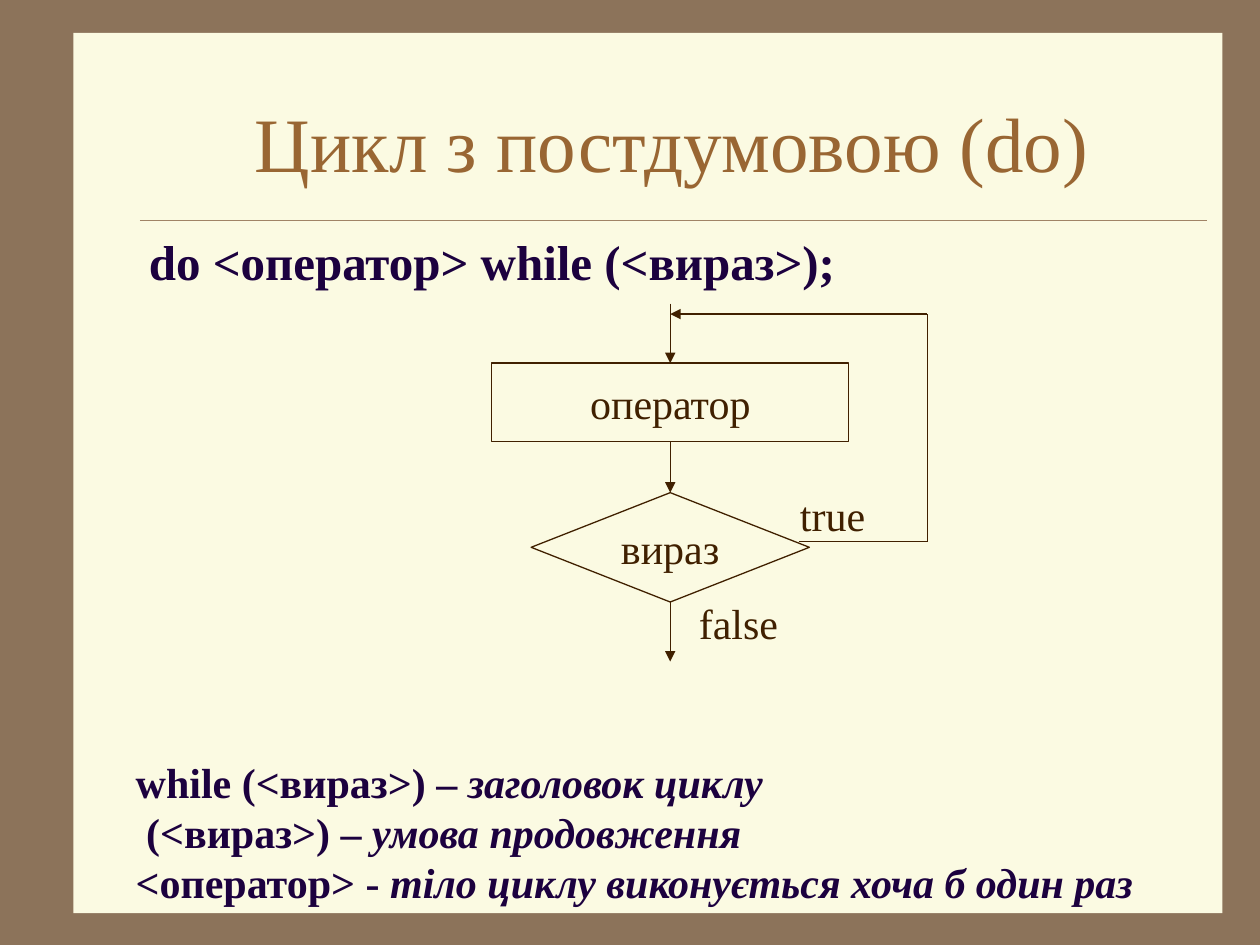
from lxml.etree import SubElement
from pptx import Presentation
from pptx.dml.color import RGBColor
from pptx.enum.shapes import MSO_CONNECTOR, MSO_SHAPE
from pptx.enum.text import MSO_ANCHOR, PP_ALIGN
from pptx.oxml.ns import qn
from pptx.util import Pt

BACKGROUND = RGBColor(0x8C, 0x73, 0x5A)
PANEL = RGBColor(0xFB, 0xFA, 0xE2)
RULE = RGBColor(0xA0, 0x83, 0x66)
TITLE = RGBColor(0x99, 0x66, 0x33)
CODE = RGBColor(0x1C, 0x01, 0x3F)
CHART = RGBColor(0x40, 0x20, 0x00)
FONT = "Times New Roman"


def add_run(p, text, size, color, bold=False, italic=False):
    r = p.add_run()
    r.text = text
    r.font.name = FONT
    r.font.size = Pt(size)
    r.font.color.rgb = color
    r.font.bold = bold
    r.font.italic = italic


def add_line(x1, y1, x2, y2, color=CHART, width=0.75, arrow=False):
    line = s.shapes.add_connector(MSO_CONNECTOR.STRAIGHT, Pt(x1), Pt(y1), Pt(x2), Pt(y2))
    line.line.color.rgb = color
    line.line.width = Pt(width)
    if arrow:
        SubElement(line.line._get_or_add_ln(), qn("a:tailEnd"), type="triangle")
    SubElement(line._element.spPr, qn("a:effectLst"))
    return line


prs = Presentation()
prs.slide_width, prs.slide_height = Pt(720), Pt(540)
s = prs.slides.add_slide(prs.slide_layouts[5])
s.background.fill.solid()
s.background.fill.fore_color.rgb = BACKGROUND

panel = s.shapes.add_shape(MSO_SHAPE.RECTANGLE, Pt(42), Pt(18.75), Pt(656.5), Pt(503))
panel.shadow.inherit = False
panel.fill.solid()
panel.fill.fore_color.rgb = PANEL
panel.line.fill.background()
s.shapes._spTree.insert(2, panel._element)

title = s.shapes.title
title.left, title.top, title.width, title.height = Pt(78), Pt(36), Pt(612), Pt(90)
tf = title.text_frame
tf.vertical_anchor = MSO_ANCHOR.MIDDLE
p = tf.paragraphs[0]
p.alignment = PP_ALIGN.CENTER
add_run(p, "Цикл з постдумовою (do)", 44, TITLE)
add_line(80, 126, 690, 126, RULE, 0.25)

blocks = []
for kind, text, left, top, width, height in [
    (MSO_SHAPE.RECTANGLE, "оператор", 281, 207.5, 204, 45),
    (MSO_SHAPE.DIAMOND, "вираз", 303.5, 281.5, 159, 62.5),
]:
    sp = s.shapes.add_shape(kind, Pt(left), Pt(top), Pt(width), Pt(height))
    sp.shadow.inherit = False
    sp.fill.background()
    sp.line.color.rgb = CHART
    sp.line.width = Pt(0.75)
    tf = sp.text_frame
    tf.word_wrap = False
    tf.vertical_anchor = MSO_ANCHOR.MIDDLE
    p = tf.paragraphs[0]
    p.alignment = PP_ALIGN.CENTER
    add_run(p, text, 24, CHART)
    blocks.append(sp)
operator, condition = blocks

entry = add_line(383, 173.5, 383, 207.5, arrow=True)
entry.end_connect(operator, 0)
step = add_line(383, 252.5, 383, 281.5, arrow=True)
step.begin_connect(operator, 2)
step.end_connect(condition, 0)
leave = add_line(383, 344, 383, 378, arrow=True)
leave.begin_connect(condition, 2)
add_line(456.5, 309.5, 530, 309.5)
add_line(530, 309.5, 530, 179.5)
add_line(530, 179.5, 383, 179.5, arrow=True)

LEFT, CENTER = PP_ALIGN.LEFT, PP_ALIGN.CENTER
for left, top, width, height, size, color, bold, align, lines in [
    (78, 128.5, 612, 44, 28, CODE, True, LEFT, [("do <оператор> while (<вираз>);", "")]),
    (439, 276, 73.5, 36, 24, CHART, False, CENTER, [("true", "")]),
    (382.5, 338, 79, 36, 24, CHART, False, CENTER, [("false", "")]),
    (70.5, 428.5, 623.5, 93.5, 24, CODE, True, LEFT, [
        ("while (<вираз>) – ", "заголовок циклу"),
        (" (<вираз>) – ", "умова продовження"),
        ("<оператор> - ", "тіло циклу виконується хоча б один раз"),
    ]),
]:
    tf = s.shapes.add_textbox(Pt(left), Pt(top), Pt(width), Pt(height)).text_frame
    tf.word_wrap = True
    p = tf.paragraphs[0]
    p.alignment = align
    for i, (term, meaning) in enumerate(lines):
        if i:
            p.add_line_break()
        add_run(p, term, size, color, bold)
        if meaning:
            add_run(p, meaning, size, color, bold, italic=True)

prs.save("out.pptx")
